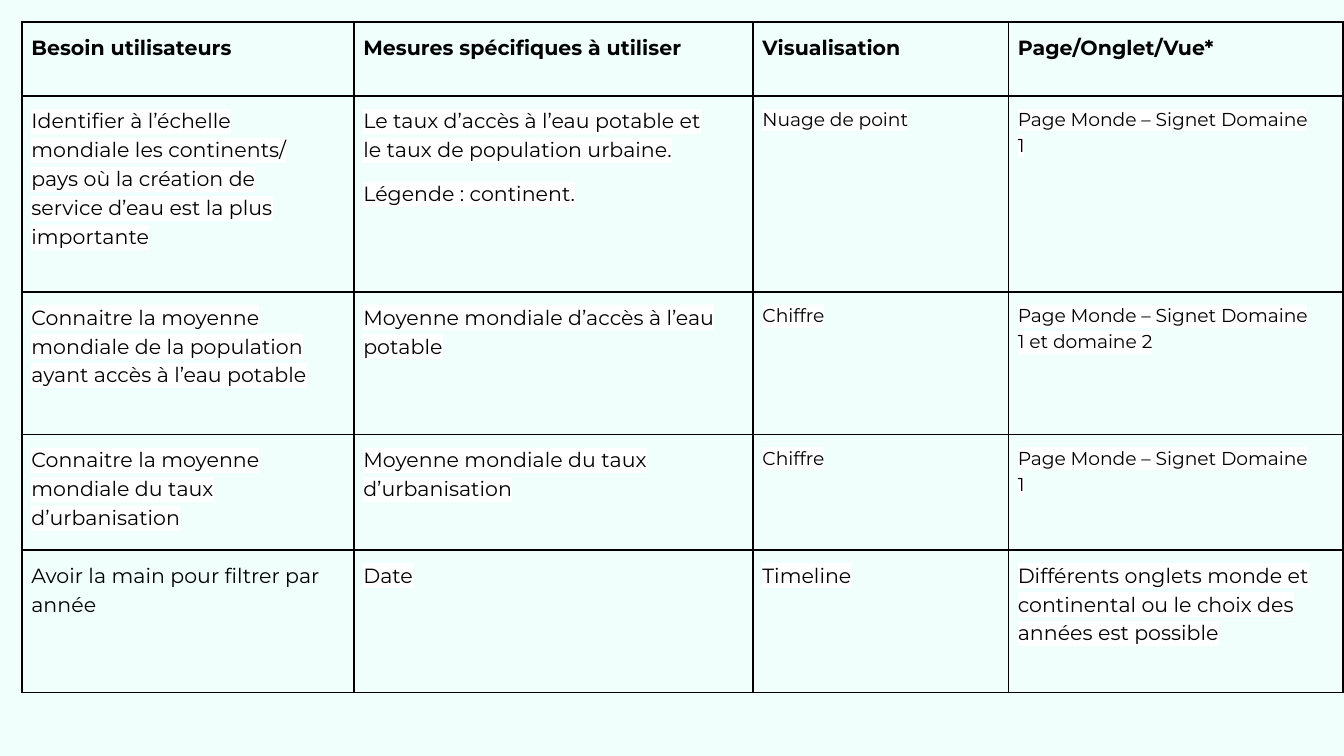
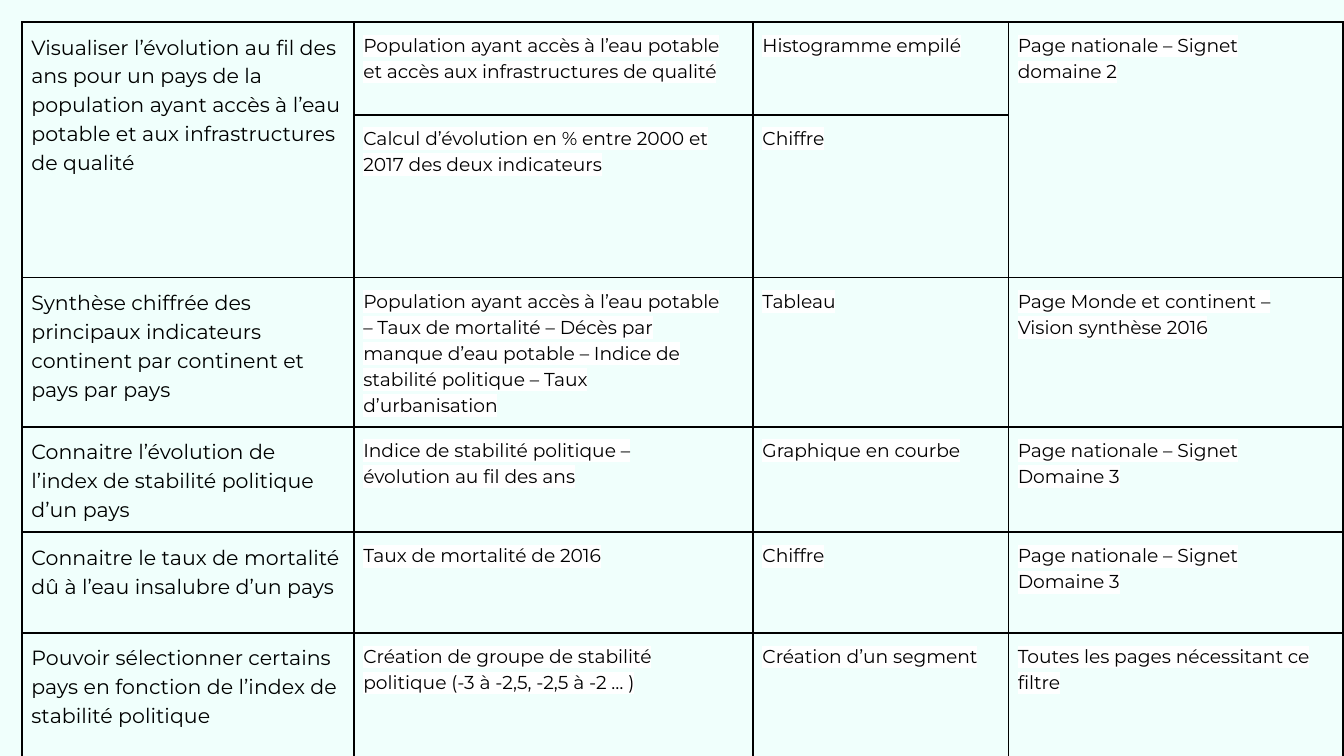
from dataclasses import dataclass
from typing import Optional

from lxml.etree import SubElement
from pptx import Presentation
from pptx.dml.color import RGBColor
from pptx.oxml import parse_xml
from pptx.oxml.ns import nsdecls, qn
from pptx.slide import Slide
from pptx.table import _Cell
from pptx.util import Inches, Pt

# Shared look
MINT = RGBColor(0xF0, 0xFF, 0xFC)
BLACK = RGBColor(0x00, 0x00, 0x00)
WHITE = RGBColor(0xFF, 0xFF, 0xFF)
FONT = "Montserrat"
LARGE, SMALL = 11, 10
BORDER = Pt(1)

# Grid: a 16:9 slide, 1000 units wide
SLIDE_WIDTH = Inches(10)
SLIDE_HEIGHT = SLIDE_WIDTH * 9 // 16
UNIT = SLIDE_WIDTH // 1000
MARGIN = Pt(11.8)
INSET = 7 * UNIT
RIGHT_INDENT = Pt(12)
COLUMNS = (247, 297, 190, 249)
CHART_COLUMN = 2


@dataclass(frozen=True)
class Entry:
    """Wording of one table cell, with its look."""
    paragraphs: tuple[str, ...]
    size: int = LARGE
    bold: bool = False
    highlight: Optional[RGBColor] = WHITE
    rows: int = 1


@dataclass(frozen=True)
class Band:
    """One table row: height in grid units and its entries."""
    height: int
    entries: tuple[Optional[Entry], ...]


def heading(text: str) -> Entry:
    return Entry((text,), bold=True, highlight=None)


def need(text: str, rows: int = 1) -> Entry:
    return Entry((text,), highlight=None, rows=rows)


def large(*paragraphs: str) -> Entry:
    return Entry(paragraphs)


def small(text: str, rows: int = 1) -> Entry:
    return Entry((text,), size=SMALL, rows=rows)


# Slide 1: world-level needs
WORLD_NEEDS = (
    Band(55, (
        heading("Besoin utilisateurs"),
        heading("Mesures spécifiques à utiliser"),
        heading("Visualisation"),
        heading("Page/Onglet/Vue*"),
    )),
    Band(146, (
        large("Identifier à l’échelle mondiale les continents/ pays où la "
              "création de service d’eau est la plus importante"),
        large("Le taux d’accès à l’eau potable et le taux de population urbaine.",
              "Légende : continent."),
        small("Nuage de point"),
        small("Page Monde – Signet Domaine 1"),
    )),
    Band(106, (
        large("Connaitre la moyenne mondiale de la population ayant accès à "
              "l’eau potable"),
        large("Moyenne mondiale d’accès à l’eau potable"),
        small("Chiffre"),
        small("Page Monde – Signet Domaine 1 et domaine 2"),
    )),
    Band(86, (
        large("Connaitre la moyenne mondiale du taux d’urbanisation"),
        large("Moyenne mondiale du taux d’urbanisation"),
        small("Chiffre"),
        small("Page Monde – Signet Domaine 1"),
    )),
    Band(106, (
        need("Avoir la main pour filtrer par année"),
        large("Date"),
        large("Timeline"),
        large("Différents onglets monde et continental ou le choix des années "
              "est possible"),
    )),
)

# Slide 2: country-level needs
COUNTRY_NEEDS = (
    Band(69, (
        need("Visualiser l’évolution au fil des ans pour un pays de la "
             "population ayant accès à l’eau potable et aux infrastructures "
             "de qualité", rows=2),
        small("Population ayant accès à l’eau potable et accès aux "
              "infrastructures de qualité"),
        small("Histogramme empilé"),
        small("Page nationale – Signet domaine 2", rows=2),
    )),
    Band(121, (
        None,
        small("Calcul d’évolution en % entre 2000 et 2017 des deux indicateurs"),
        small("Chiffre"),
        None,
    )),
    Band(111, (
        need("Synthèse chiffrée des principaux indicateurs continent par "
             "continent et pays par pays"),
        small("Population ayant accès à l’eau potable – Taux de mortalité – "
              "Décès par manque d’eau potable – Indice de stabilité politique "
              "– Taux d’urbanisation"),
        small("Tableau"),
        small("Page Monde et continent – Vision synthèse 2016"),
    )),
    Band(75, (
        need("Connaitre l’évolution de l’index de stabilité politique d’un pays"),
        small("Indice de stabilité politique – évolution au fil des ans"),
        small("Graphique en courbe"),
        small("Page nationale – Signet Domaine 3"),
    )),
    Band(75, (
        need("Connaitre le taux de mortalité dû à l’eau insalubre d’un pays"),
        small("Taux de mortalité de 2016"),
        small("Chiffre"),
        small("Page nationale – Signet Domaine 3"),
    )),
    Band(95, (
        need("Pouvoir sélectionner certains pays en fonction de l’index de "
             "stabilité politique"),
        small("Création de groupe de stabilité politique (-3 à -2,5, -2,5 à -2 … )"),
        small("Création d’un segment"),
        small("Toutes les pages nécessitant ce filtre"),
    )),
)


def frame_cell(cell: _Cell) -> None:
    """Clear the fill, set the insets and rule all four sides."""
    cell.fill.background()
    cell.margin_left = cell.margin_right = INSET
    cell.margin_top = cell.margin_bottom = INSET
    properties = cell._tc.get_or_add_tcPr()
    for position, side in enumerate(("lnL", "lnR", "lnT", "lnB")):
        properties.insert(position, parse_xml(
            f'<a:{side} {nsdecls("a")} w="{BORDER}"><a:solidFill>'
            f'<a:srgbClr val="{BLACK}"/></a:solidFill></a:{side}>'))


def write_entry(cell: _Cell, entry: Entry, right_indent: int) -> None:
    frame = cell.text_frame
    for number, wording in enumerate(entry.paragraphs):
        paragraph = frame.add_paragraph() if number else frame.paragraphs[0]
        paragraph.line_spacing = 1.15
        if number:
            paragraph.space_before = Pt(8)
        paragraph._p.get_or_add_pPr().set("marR", str(right_indent))
        run = paragraph.add_run()
        run.text = wording
        run.font.size = Pt(entry.size)
        run.font.bold = entry.bold
        run.font.color.rgb = BLACK
        if entry.highlight is not None:
            # The highlight must stand between the colour and the font name
            marker = SubElement(run._r.get_or_add_rPr(), qn("a:highlight"))
            SubElement(marker, qn("a:srgbClr")).set("val", str(entry.highlight))
        run.font.name = FONT


def add_needs_table(slide: Slide, bands: tuple[Band, ...]) -> None:
    table = slide.shapes.add_table(
        len(bands), len(COLUMNS), MARGIN, MARGIN,
        sum(COLUMNS) * UNIT, sum(band.height for band in bands) * UNIT).table
    table.first_row = table.horz_banding = False
    for column, width in zip(table.columns, COLUMNS):
        column.width = width * UNIT
    for row_number, band in enumerate(bands):
        table.rows[row_number].height = band.height * UNIT
        for column_number, entry in enumerate(band.entries):
            cell = table.cell(row_number, column_number)
            frame_cell(cell)
            if entry is None:
                continue
            indented = entry.highlight is not None and column_number != CHART_COLUMN
            write_entry(cell, entry, RIGHT_INDENT if indented else 0)
            if entry.rows > 1:
                cell.merge(table.cell(row_number + entry.rows - 1, column_number))


def main() -> None:
    deck = Presentation()
    deck.slide_width, deck.slide_height = SLIDE_WIDTH, SLIDE_HEIGHT
    blank_layout = deck.slide_layouts[6]
    for bands in (WORLD_NEEDS, COUNTRY_NEEDS):
        slide = deck.slides.add_slide(blank_layout)
        slide.background.fill.solid()
        slide.background.fill.fore_color.rgb = MINT
        add_needs_table(slide, bands)
    deck.save("out.pptx")


if __name__ == "__main__":
    main()
